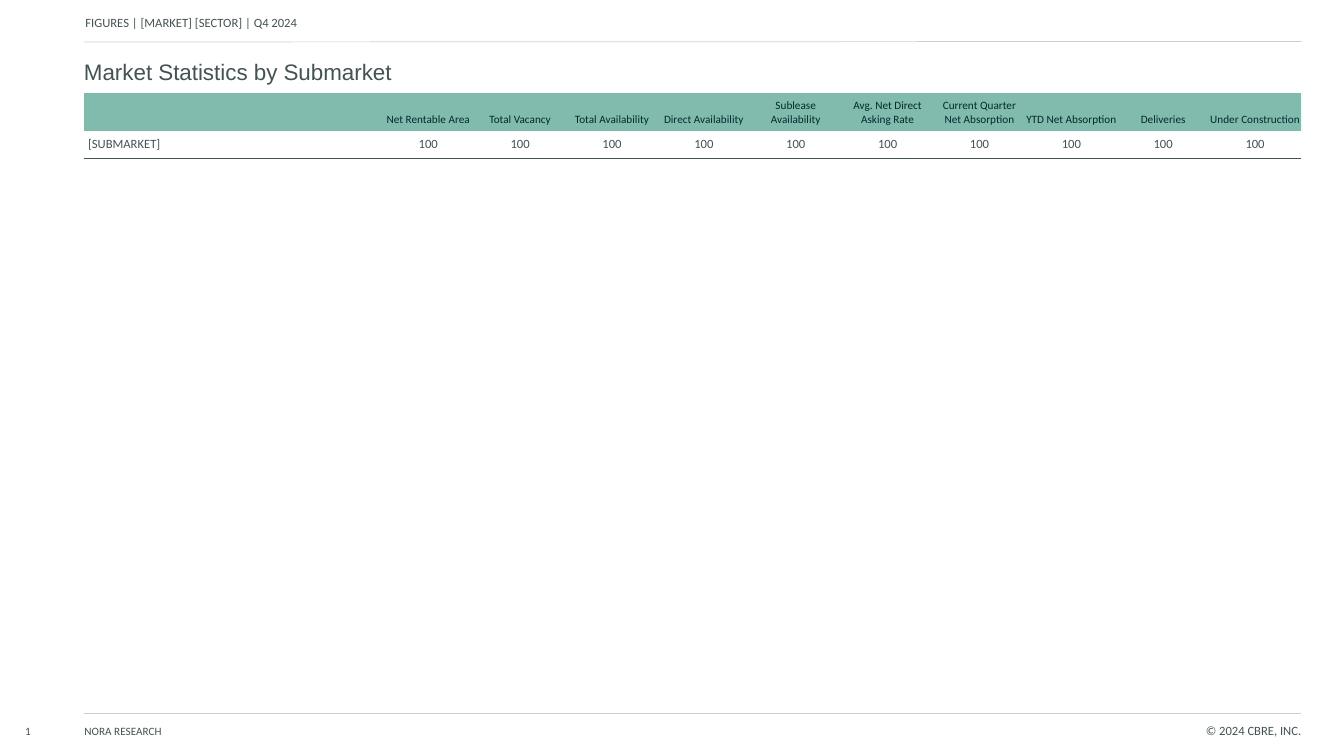
from lxml import etree
from pptx import Presentation
from pptx.dml.color import RGBColor
from pptx.enum.shapes import MSO_CONNECTOR
from pptx.enum.text import MSO_ANCHOR, PP_ALIGN
from pptx.oxml.ns import qn
from pptx.util import Pt

LEFT, CENTER, RIGHT = PP_ALIGN.LEFT, PP_ALIGN.CENTER, PP_ALIGN.RIGHT
TOP, MIDDLE, BOTTOM = MSO_ANCHOR.TOP, MSO_ANCHOR.MIDDLE, MSO_ANCHOR.BOTTOM

# Content
SLATE, DARK, GREEN, WHITE, RULE = "435254", "012A2D", "80BBAD", "FFFFFF", "CAD1D3"

# text, (left, top, width, height), size, font, align, anchor, line spacing
TEXTS = [
    ("1", (18, 517.7, 20, 14.4), 8, "Calibri", LEFT, TOP, 1),
    ("NORA RESEARCH", (60.3, 517.7, 263.5, 14.4), 8, "Calibri", LEFT, TOP, 1),
    ("© 2024 CBRE, INC.", (409.7, 517.7, 519.8, 14.4), 9, "Calibri", RIGHT, TOP, 0.9),
    ("FIGURES\u2002|\u2002[MARKET] [SECTOR]\u2002|\u2002Q4 2024".replace("\u2002", " "),
     (61, 0, 356.4, 21.6), 9, "Calibri", LEFT, BOTTOM, 0.9),
    ("Market Statistics by Submarket", (60, 41.8, 396, 23.8), 16, "Arial", LEFT, TOP, 1),
]
RULES = [(30, 29.6), (509.6, 509.6)]  # y at left end, y at right end
RULE_LEFT, RULE_RIGHT = 60.3, 929.5

HEADERS = ["", "Net Rentable Area", "Total Vacancy", "Total Availability",
           "Direct Availability", "Sublease Availability",
           "Avg. Net Direct Asking Rate", "Current Quarter Net Absorption",
           "YTD Net Absorption", "Deliveries", "Under Construction"]
ROWS = [HEADERS, ["[SUBMARKET]"] + ["100"] * (len(HEADERS) - 1)]
TABLE_BOX = (60, 66.2, 869.6, 46.6)
NAME_WIDTH = 213.1
ROW_HEIGHTS = [27.2, 19.4]


def rgb(value):
    return RGBColor.from_string(value)


def style(p, size, font, color, align):
    p.alignment = align
    p.font.size, p.font.name = Pt(size), font
    p.font.color.rgb = rgb(color)


def set_margins(obj, left=0, bottom=0):
    obj.margin_left, obj.margin_bottom = Pt(left), Pt(bottom)
    obj.margin_right = obj.margin_top = 0


def set_borders(cell, bottom):
    """Clear all four borders, then draw the bottom one if a colour is given."""
    tcPr = cell._tc.get_or_add_tcPr()
    for i, side in enumerate(("lnL", "lnR", "lnT", "lnB")):
        ln = etree.Element(qn("a:" + side), w=str(Pt(0.5)))
        if side == "lnB" and bottom:
            fill = etree.SubElement(ln, qn("a:solidFill"))
            etree.SubElement(fill, qn("a:srgbClr"), val=bottom)
        else:
            etree.SubElement(ln, qn("a:noFill"))
        tcPr.insert(i, ln)


prs = Presentation()
prs.slide_width, prs.slide_height = Pt(960), Pt(540)
s = prs.slides.add_slide(prs.slide_layouts[6])

# Header and footer rules
for y1, y2 in RULES:
    line = s.shapes.add_connector(MSO_CONNECTOR.STRAIGHT, Pt(RULE_LEFT), Pt(y1),
                                  Pt(RULE_RIGHT), Pt(y2))
    line.line.color.rgb, line.line.width = rgb(RULE), Pt(0.5)
    etree.SubElement(line._element.spPr, qn("a:effectLst"))

# Submarket table
frame = s.shapes.add_table(len(ROWS), len(HEADERS), *map(Pt, TABLE_BOX))
table = frame.table
table.first_row = table.horz_banding = False
value_width = (TABLE_BOX[2] - NAME_WIDTH) / (len(HEADERS) - 1)
for c, column in enumerate(table.columns):
    column.width = Pt(value_width if c else NAME_WIDTH)
for r, texts in enumerate(ROWS):
    table.rows[r].height = Pt(ROW_HEIGHTS[r])
    head = r == 0
    for c, text in enumerate(texts):
        cell = table.cell(r, c)
        cell.text = text
        cell.vertical_anchor = BOTTOM if head else MIDDLE
        set_margins(cell, left=0 if head or c else 2.9, bottom=2.9 if head else 0)
        cell.fill.solid()
        cell.fill.fore_color.rgb = rgb(GREEN if head else WHITE)
        set_borders(cell, None if head else SLATE)
        style(cell.text_frame.paragraphs[0], 8 if head else 9, "Calibri",
              DARK if head else SLATE, CENTER if c else LEFT)

# Title, header and footer text
for text, box, size, font, align, anchor, spacing in TEXTS:
    tf = s.shapes.add_textbox(*map(Pt, box)).text_frame
    tf.word_wrap, tf.vertical_anchor = True, anchor
    set_margins(tf)
    p = tf.paragraphs[0]
    p.text, p.line_spacing = text, spacing
    style(p, size, font, SLATE, align)

prs.save("out.pptx")
